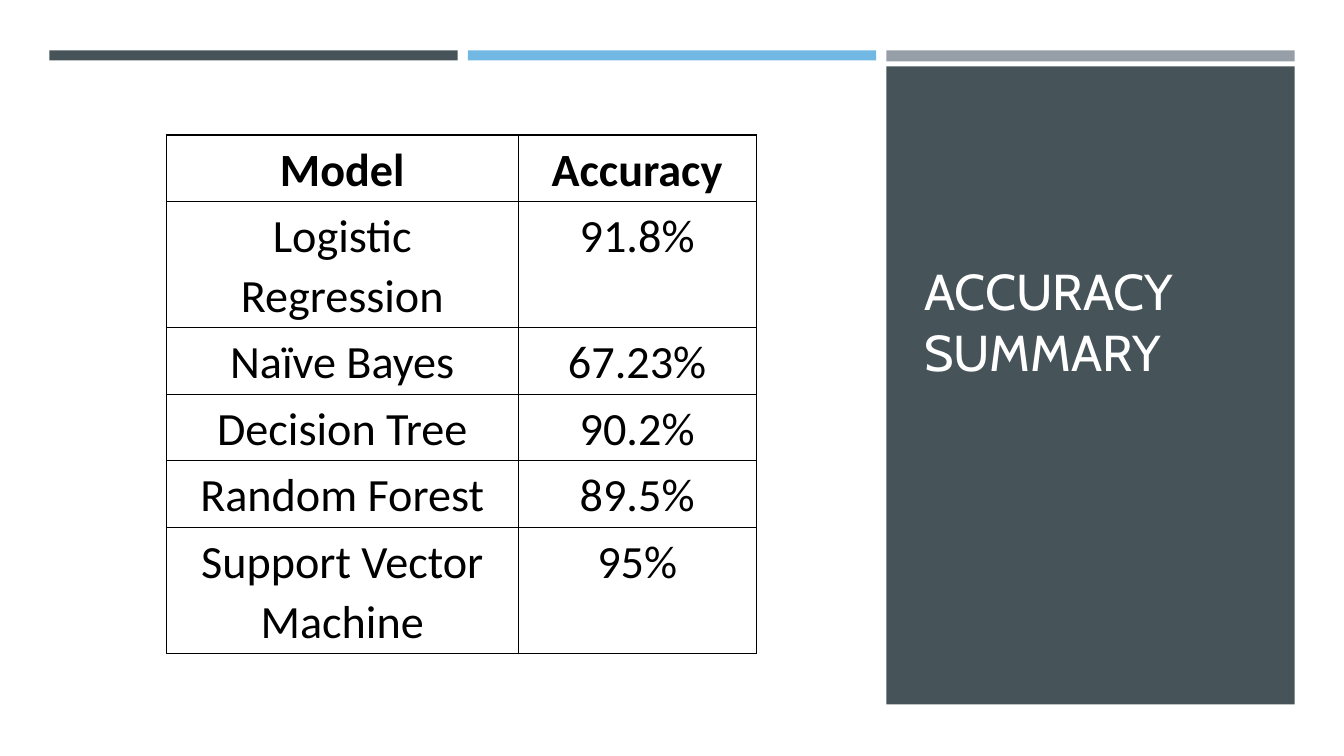
from pptx import Presentation
from pptx.dml.color import RGBColor
from pptx.enum.shapes import MSO_SHAPE as Shape
from pptx.enum.text import MSO_ANCHOR as Anchor, PP_ALIGN as Align
from pptx.oxml import parse_xml
from pptx.oxml.ns import nsdecls
from pptx.util import Inches, Pt

TITLE = "ACCURACY SUMMARY"
RESULTS = [
    ("Model", "Accuracy"),
    ("Logistic Regression", "91.8%"),
    ("Naïve Bayes", "67.23%"),
    ("Decision Tree", "90.2%"),
    ("Random Forest", "89.5%"),
    ("Support Vector Machine", "95%"),
]
COLORS = {"white": "FFFFFF", "slate": "465359", "sky": "71B9E4",
          "gray": "969FA7", "black": "000000"}
BARS = [("slate", 0.1), ("sky", 0.1), ("gray", 0.11)]

SLIDE_W, SLIDE_H = 13.33, 7.5
BAR_LEFT, BAR_TOP, BAR_W, BAR_STEP = 0.49, 0.5, 4.05, 4.15
PANEL_LEFT = BAR_LEFT + 2 * BAR_STEP
COLUMN_WIDTHS = (3.49, 2.36)
ONE_LINE, TWO_LINES = 0.66, 1.25
WRAP_LENGTH = 14  # longer model names take two lines


def write(frame, text, *, font, size, color, bold=False,
          align=Align.LEFT, spacing=1.0):
    frame.word_wrap = True
    paragraph = frame.paragraphs[0]
    paragraph.alignment = align
    paragraph.line_spacing = spacing
    run = paragraph.add_run()
    run.text = text
    run.font.name = font
    run.font.size = Pt(size)
    run.font.bold = bold
    run.font.color.rgb = RGBColor.from_string(COLORS[color])


def add_block(slide, color, left, top, width, height):
    block = slide.shapes.add_shape(
        Shape.RECTANGLE, *map(Inches, (left, top, width, height)))
    block.shadow.inherit = False
    block.fill.solid()
    block.fill.fore_color.rgb = RGBColor.from_string(COLORS[color])
    block.line.fill.background()


def add_borders(cell):
    """Draw a 1 pt black line on all four sides of the cell."""
    properties = cell._tc.get_or_add_tcPr()
    for position, side in enumerate(("lnL", "lnR", "lnT", "lnB")):
        properties.insert(position, parse_xml(
            f'<a:{side} {nsdecls("a")} w="{Pt(1)}"><a:solidFill>'
            f'<a:srgbClr val="{COLORS["black"]}"/></a:solidFill></a:{side}>'))


def add_results(slide):
    heights = [TWO_LINES if len(model) > WRAP_LENGTH else ONE_LINE
               for model, _ in RESULTS]
    table = slide.shapes.add_table(
        len(RESULTS), len(COLUMN_WIDTHS), Inches(1.65), Inches(1.34),
        Inches(sum(COLUMN_WIDTHS)), Inches(sum(heights))).table
    table.first_row = table.horz_banding = False
    for column, width in zip(table.columns, COLUMN_WIDTHS):
        column.width = Inches(width)
    for r, (result, height) in enumerate(zip(RESULTS, heights)):
        table.rows[r].height = Inches(height)
        for c, text in enumerate(result):
            cell = table.cell(r, c)
            cell.margin_left = cell.margin_right = Inches(0.22)
            cell.margin_top, cell.margin_bottom = Inches(0.03), 0
            cell.fill.background()
            add_borders(cell)
            write(cell.text_frame, text, font="Calibri", size=33,
                  color="black", bold=r == 0, align=Align.CENTER, spacing=1.07)


def main():
    deck = Presentation()
    deck.slide_width, deck.slide_height = Inches(SLIDE_W), Inches(SLIDE_H)
    slide = deck.slides.add_slide(deck.slide_layouts[6])

    add_block(slide, "white", 0, 0, SLIDE_W, SLIDE_H)
    for i, (color, height) in enumerate(BARS):
        add_block(slide, color, BAR_LEFT + i * BAR_STEP, BAR_TOP, BAR_W, height)
    add_block(slide, "slate", PANEL_LEFT, 0.66, BAR_W, 6.33)

    title = slide.shapes.add_textbox(
        Inches(9.07), Inches(1.55), Inches(3.37), Inches(2.28)).text_frame
    title.vertical_anchor = Anchor.BOTTOM
    write(title, TITLE, font="Cabin", size=36, color="white")
    add_results(slide)
    deck.save("out.pptx")


if __name__ == "__main__":
    main()
